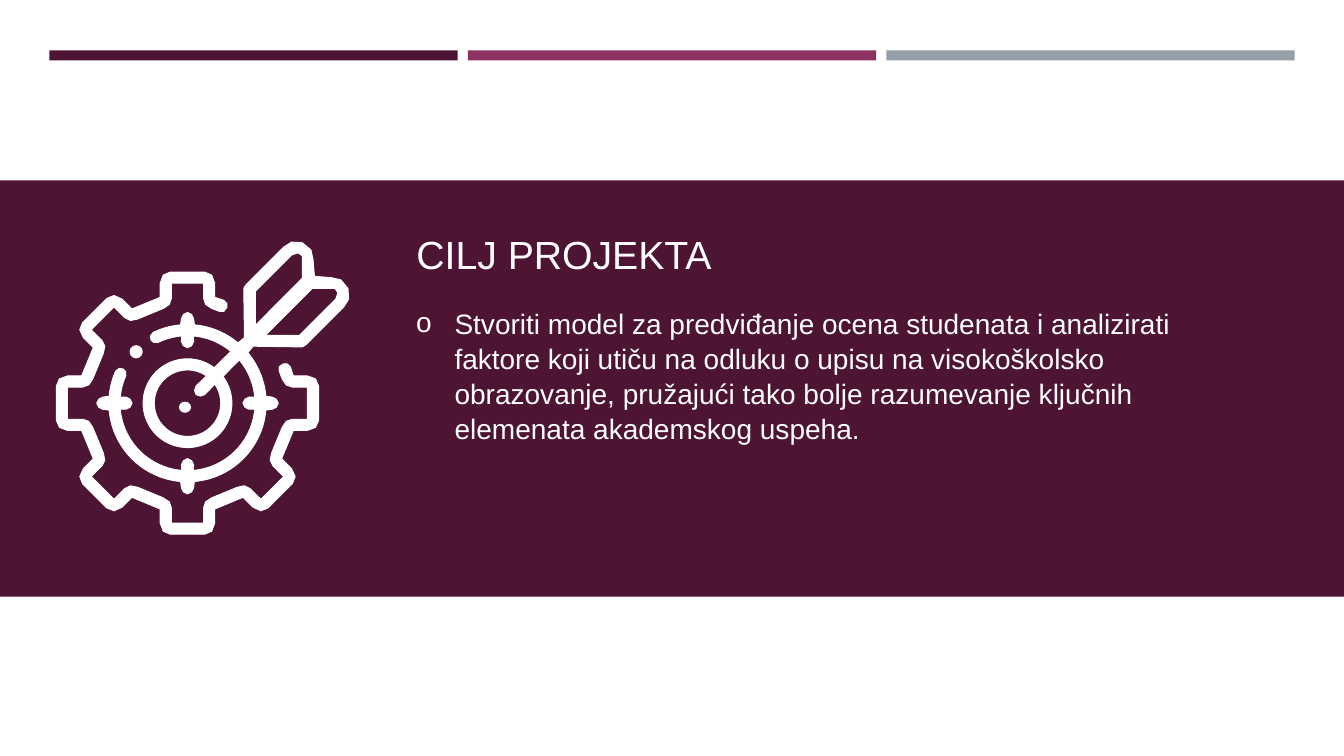
"""Build the project goal slide: three accent bars, a plum band, a target icon and text."""
from math import cos, radians, sin

from lxml import etree
from pptx import Presentation
from pptx import util as u
from pptx.dml.color import RGBColor
from pptx.enum import shapes, text
from pptx.oxml.ns import qn

HEADING = "CILJ PROJEKTA"
GOAL = (
    "Stvoriti model za predviđanje ocena studenata i analizirati faktore koji utiču "
    "na odluku o upisu na visokoškolsko obrazovanje, pružajući tako bolje razumevanje "
    "ključnih elemenata akademskog uspeha."
)
COLORS = {"plum": "4D1434", "berry": "903163", "gray": "969FA7", "white": "FFFFFF"}
ACCENTS = ("plum", "berry", "gray")
WIDTH, HEIGHT = 13.33, 7.5
MARGIN, GAP, BAR_TOP, BAR_HEIGHT = 0.49, 0.1, 0.5, 0.1
BAND = (0, 1.79, WIDTH, 4.13)
TEXT_LEFT, INDENT = 4.03, 0.38
HEADING_BOX = (TEXT_LEFT, 1.16, 12.06, 1.64)
GOAL_BOX = (TEXT_LEFT, 2.97, 8.07, 1.11)
HEADING_FONT = {"name": "Arial", "size": u.Pt(28), "bold": False}
GOAL_FONT = {"name": "Arial", "size": u.Pt(20)}
HEADING_FORMAT = {"alignment": text.PP_ALIGN.LEFT}
GOAL_FORMAT = {"alignment": text.PP_ALIGN.LEFT, "line_spacing": 1.05}
HEADING_FRAME = {"word_wrap": True, "vertical_anchor": text.MSO_ANCHOR.BOTTOM,
                 "auto_size": text.MSO_AUTO_SIZE.NONE}
GOAL_FRAME = {"word_wrap": True, "auto_size": text.MSO_AUTO_SIZE.SHAPE_TO_FIT_TEXT}

CENTER = (1.86, 4.0)
DOTS = ((1.29, 3.43, 0.12, 0.12), (1.78, 3.99, 0.11, 0.1))
TOOTH_OUTER = [(-0.27, 1.05), (-0.27, 1.19), (-0.24, 1.27), (-0.17, 1.3)]
TOOTH_INNER = [(-0.24, 0.94), (-0.18, 0.98), (-0.16, 1.04), (-0.16, 1.19)]
GEAR_END = [(0.36, 1.02), (0.39, 0.99), (0.39, 0.95), (0.36, 0.91), (0.32, 0.91)]
CAP = [(-0.06, 0), (-0.04, 0.04), (0, 0.06), (0.04, 0.04), (0.06, 0)]
FEATHER = [(-0.06, 0.86), (-0.41, 1.2), (-0.42, 1.24), (-0.42, 1.77), (-0.4, 1.86),
           (-0.32, 1.93), (-0.21, 1.94), (-0.13, 1.89), (0, 1.78)]
FEATHER_HOLE = [(-0.31, 1.26), (-0.31, 1.77), (-0.28, 1.83), (-0.23, 1.84),
                (-0.2, 1.81), (-0.07, 1.68), (-0.07, 1.02)]
RING_OUTER, RING_INNER, EYE_OUTER, EYE_INNER = 0.78, 0.67, 0.44, 0.33
ARROW = 45


def flip(points):
    return [(-x, y) for x, y in reversed(points)]


def spin(points, angle):
    """Turn points given as (sideways, outward) clockwise around the icon's center."""
    c, s = cos(radians(angle)), sin(radians(angle))
    return [(x * c + y * s, x * s - y * c) for x, y in points]


def polar(radius, *angles):
    return [p for a in angles for p in spin([(0, radius)], a)]


def arc(radius, start, end):
    steps = max(2, round((end - start) / 4))
    return polar(radius, *(start + (end - start) * i / steps for i in range(steps + 1)))


def cap(radius, direction, angle):
    return spin([(x, radius + direction * y) for x, y in CAP], angle)


def ring(radius, start, end, direction):
    """Trace an arc clockwise with a crosshair tick at each quarter turn."""
    points = []
    for tick in range(0, 360, 90):
        if start < tick < end:
            points += arc(radius, start, tick - 5)
            points += cap(radius + direction * 0.06, direction, tick)
            start = tick + 5
    return points + arc(radius, start, end)


def gear():
    teeth = range(90, 361, 45)
    outer = [p for a in teeth for p in spin(TOOTH_OUTER + flip(TOOTH_OUTER), a)]
    inner = [p for a in teeth for p in spin(TOOTH_INNER + flip(TOOTH_INNER), a)]
    return [outer + spin(GEAR_END, 0) + inner[::-1] + spin(flip(GEAR_END), 90)]


def target():
    outline = (
        ring(RING_OUTER, -26, 40, 1)
        + spin(FEATHER + flip(FEATHER)[1:], ARROW)
        + ring(RING_OUTER, 50, 294, 1)
        + polar(0.76, 297) + polar(0.72, 298) + polar(0.69, 297)
        + ring(RING_INNER, 50, 294, -1)[::-1]
        + arc(EYE_OUTER, 53, 397)
        + ring(RING_INNER, -26, 40, -1)[::-1]
        + polar(0.69, -29) + polar(0.72, -30) + polar(0.76, -29)
    )
    eye = arc(EYE_INNER, 55, 395) + cap(0.18, -1, ARROW)
    return [outline, eye, spin(FEATHER_HOLE, ARROW), spin(flip(FEATHER_HOLE), ARROW)]


def paint(shape, color, outlined=False):
    rgb = RGBColor.from_string(COLORS[color])
    shape.shadow.inherit = False
    shape.fill.solid()
    shape.fill.fore_color.rgb = rgb
    if outlined:
        shape.line.color.rgb = rgb
        shape.line.width = u.Pt(0.75)
    else:
        shape.line.fill.background()


def add_preset(slide, kind, box, color, outlined=False):
    paint(slide.shapes.add_shape(kind, *map(u.Inches, box)), color, outlined)


def add_outline(slide, contours):
    placed = [[(u.Inches(CENTER[0] + x), u.Inches(CENTER[1] + y)) for x, y in contour]
              for contour in contours]
    builder = slide.shapes.build_freeform(*placed[0][0])
    for i, contour in enumerate(placed):
        if i:
            builder.move_to(*contour[0])
        builder.add_line_segments(contour[1:], close=True)
    paint(builder.convert_to_shape(), "white", True)


def write(shape, words, frame_format, paragraph_format, font_format):
    frame = shape.text_frame
    frame.text = words
    paragraph = frame.paragraphs[0]
    font = paragraph.runs[0].font
    for part, values in ((frame, frame_format), (paragraph, paragraph_format),
                         (font, font_format)):
        for key, value in values.items():
            setattr(part, key, value)
    font.color.rgb = RGBColor.from_string(COLORS["white"])
    return paragraph


def add_bullet(paragraph):
    props = paragraph._p.get_or_add_pPr()
    props.set("marL", str(u.Inches(INDENT)))
    props.set("indent", str(-u.Inches(INDENT)))
    etree.SubElement(props, qn("a:buFont")).set("typeface", "Arial")
    etree.SubElement(props, qn("a:buChar")).set("char", "o")


def main():
    deck = Presentation()
    deck.slide_width, deck.slide_height = u.Inches(WIDTH), u.Inches(HEIGHT)
    slide = deck.slides.add_slide(deck.slide_layouts[5])
    rectangle, oval = shapes.MSO_SHAPE.RECTANGLE, shapes.MSO_SHAPE.OVAL

    bar_width = (WIDTH - 2 * MARGIN - 2 * GAP) / 3
    for column, color in enumerate(ACCENTS):
        left = MARGIN + column * (bar_width + GAP)
        add_preset(slide, rectangle, (left, BAR_TOP, bar_width, BAR_HEIGHT), color)
    add_preset(slide, rectangle, BAND, "plum")

    heading = slide.shapes.title
    slide.shapes.element.append(heading.element)
    heading.left, heading.top, heading.width, heading.height = map(u.Inches, HEADING_BOX)
    write(heading, HEADING, HEADING_FRAME, HEADING_FORMAT, HEADING_FONT)

    goal = slide.shapes.add_textbox(*map(u.Inches, GOAL_BOX))
    add_bullet(write(goal, GOAL, GOAL_FRAME, GOAL_FORMAT, GOAL_FONT))

    for contours in (target(), gear()):
        add_outline(slide, contours)
    for dot in DOTS:
        add_preset(slide, oval, dot, "white", True)
    deck.save("out.pptx")


if __name__ == "__main__":
    main()
